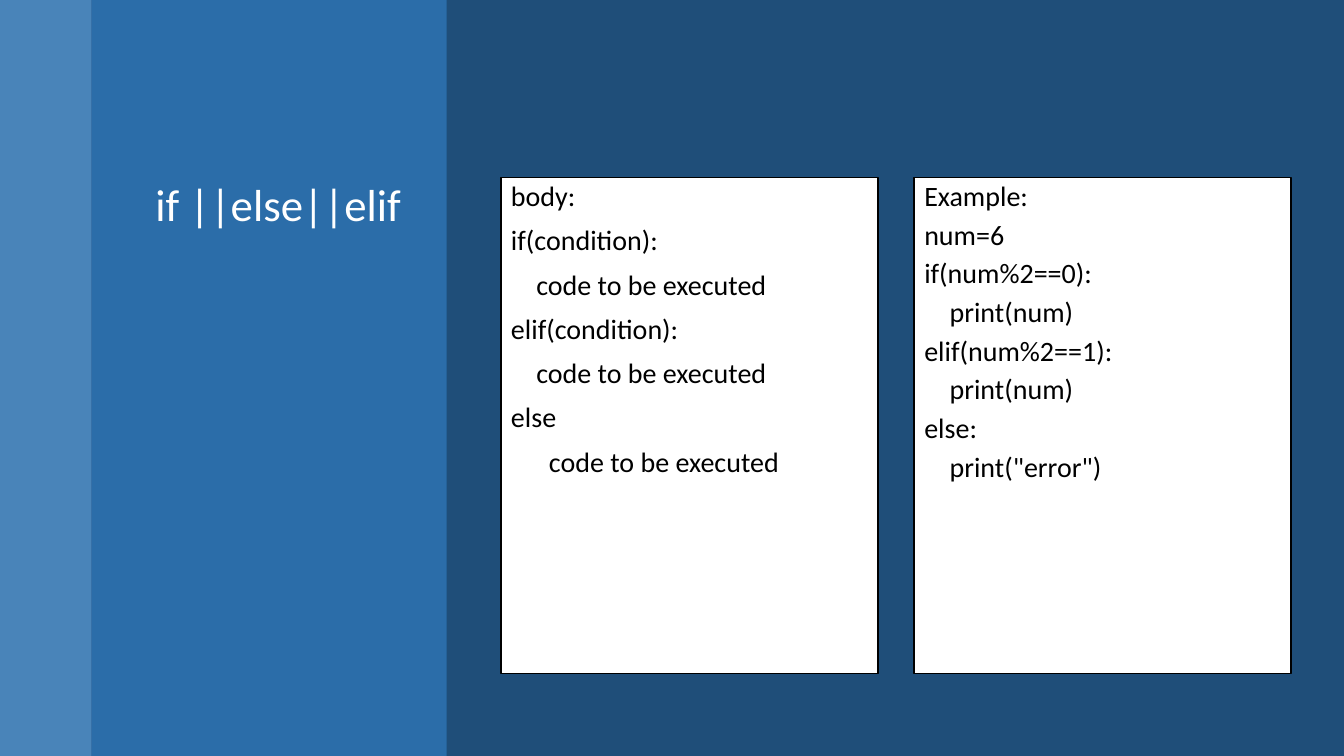
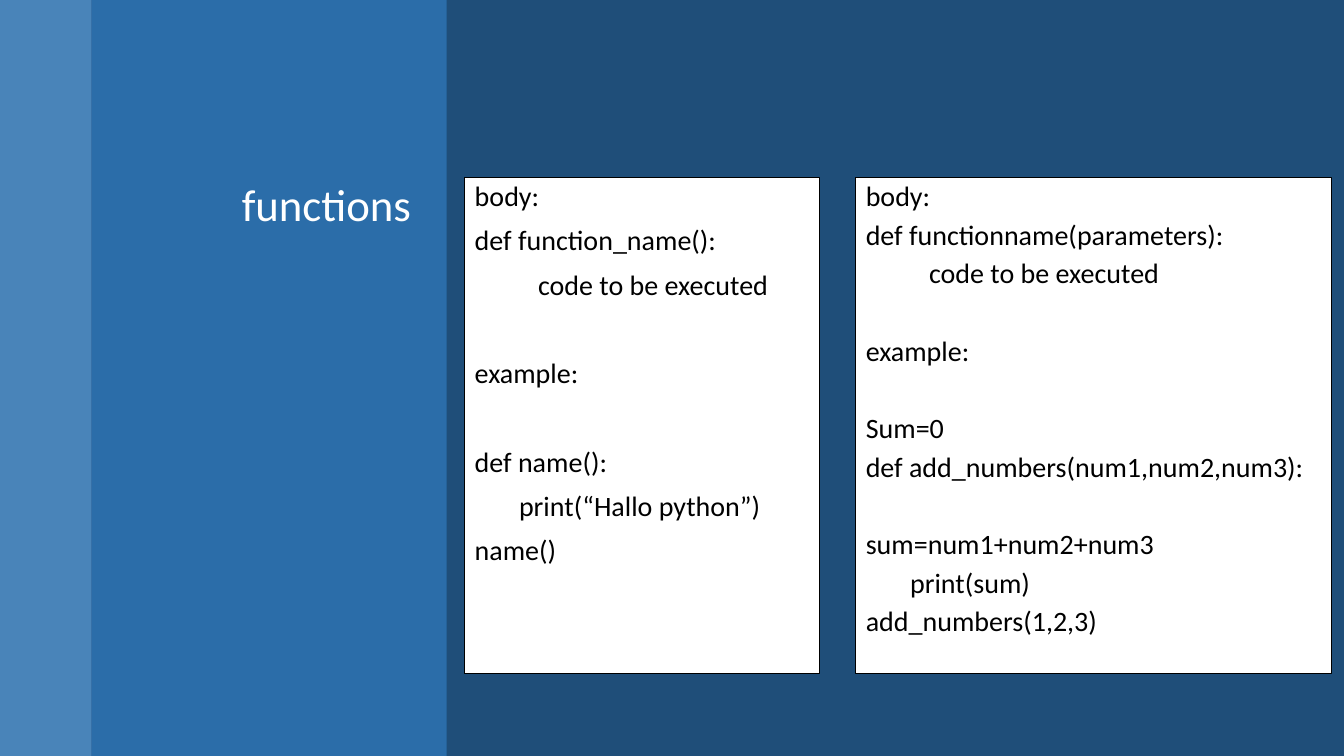
from dataclasses import dataclass

import lxml.etree
import pptx
import pptx.dml.color
import pptx.enum.shapes
import pptx.enum.text
import pptx.oxml.ns
import pptx.presentation
import pptx.shapes.base
import pptx.slide
import pptx.text.text
import pptx.util

Pt = pptx.util.Pt
Align = pptx.enum.text.PP_ALIGN

COLORS = {
    "background": "1F4E79",
    "edge_band": "5B9BD5",
    "title_band": "2E75B6",
    "title": "FFFFFF",
    "panel": "FFFFFF",
    "code": "000000",
    "border": "000000",
}
FONT = "Calibri"
SLIDE_WIDTH, SLIDE_HEIGHT = 960, 540
CONTENT_TOP, CONTENT_HEIGHT = 126.7, 354.2
TITLE_LEFT, TITLE_WIDTH, TITLE_SIZE = 78.5, 222.5, 32
PANEL_GAP = 25.9
CODE_SIZE = 20
LINE_SPACING = 0.9
LINE_HEIGHT = 21.6  # one line of code at this size and spacing
SPACE_WIDTH = 4.52  # one character of code indentation
TWO_CONTENT_LAYOUT = 3


@dataclass(frozen=True)
class Band:
    left: float
    width: float
    color: str
    opacity: int


@dataclass(frozen=True)
class CodeLine:
    text: str
    indent: int = 0
    blank_before: bool = False


@dataclass(frozen=True)
class Panel:
    width: float
    gap: float
    lines: list[CodeLine]


@dataclass(frozen=True)
class CodeSlide:
    title: str
    panels_left: float
    panels: list[Panel]
    title_inset: float = 7.2


BANDS = [
    Band(0, 65.5, "edge_band", 70),
    Band(65.5, 253.5, "title_band", 80),
]

SLIDES = [
    CodeSlide("if ||else||elif", 357.8, title_inset=14.4, panels=[
        Panel(269.3, 10, [
            CodeLine("body:"),
            CodeLine("if(condition):"),
            CodeLine("code to be executed", 4),
            CodeLine("elif(condition):"),
            CodeLine("code to be executed", 4),
            CodeLine("else"),
            CodeLine("code to be executed", 6),
        ]),
        Panel(269.3, 6, [
            CodeLine("Example:"),
            CodeLine("num=6"),
            CodeLine("if(num%2==0):"),
            CodeLine("print(num)", 4),
            CodeLine("elif(num%2==1):"),
            CodeLine("print(num)", 4),
            CodeLine("else:"),
            CodeLine('print("error")', 4),
        ]),
    ]),
    CodeSlide("functions", 331.9, panels=[
        Panel(253.4, 10, [
            CodeLine("body:"),
            CodeLine("def function_name():"),
            CodeLine("code to be executed", 10),
            CodeLine("example:", blank_before=True),
            CodeLine("def name():", blank_before=True),
            CodeLine("print(“Hallo python”)", 7),
            CodeLine("name()"),
        ]),
        Panel(339.8, 6, [
            CodeLine("body:"),
            CodeLine("def functionname(parameters):"),
            CodeLine("code to be executed", 10),
            CodeLine("example:", blank_before=True),
            CodeLine("Sum=0", blank_before=True),
            CodeLine("def add_numbers(num1,num2,num3):"),
            CodeLine("sum=num1+num2+num3", blank_before=True),
            CodeLine("print(sum)", 7),
            CodeLine("add_numbers(1,2,3)"),
        ]),
    ]),
]


def rgb(name: str) -> pptx.dml.color.RGBColor:
    return pptx.dml.color.RGBColor.from_string(COLORS[name])


def place(shape: pptx.shapes.base.BaseShape, left: float, width: float) -> None:
    """Move a placeholder into the content row and start its text at the top."""
    shape.left, shape.top = Pt(left), Pt(CONTENT_TOP)
    shape.width, shape.height = Pt(width), Pt(CONTENT_HEIGHT)
    frame = shape.text_frame
    frame.word_wrap = True
    frame.auto_size = pptx.enum.text.MSO_AUTO_SIZE.NONE
    frame.vertical_anchor = pptx.enum.text.MSO_ANCHOR.TOP


def write_text(paragraph: pptx.text.text._Paragraph, text: str, *, size: float,
               color: str, align: Align = Align.LEFT, space_before: float = 0,
               indent: float = 0) -> None:
    paragraph.alignment = align
    paragraph.line_spacing = LINE_SPACING
    paragraph.space_before = Pt(space_before)
    paragraph.space_after = Pt(0)
    properties = paragraph._p.get_or_add_pPr()
    properties.set("marL", str(Pt(indent)))
    properties.set("indent", "0")
    lxml.etree.SubElement(properties, pptx.oxml.ns.qn("a:buNone"))
    run = paragraph.add_run()
    run.text = text
    run.font.name = FONT
    run.font.size = Pt(size)
    run.font.color.rgb = rgb(color)


def add_bands(slide: pptx.slide.Slide) -> None:
    """Draw the translucent bands behind the placeholders."""
    for position, band in enumerate(BANDS, start=2):
        shape = slide.shapes.add_shape(
            pptx.enum.shapes.MSO_SHAPE.RECTANGLE,
            Pt(band.left), Pt(0), Pt(band.width), Pt(SLIDE_HEIGHT))
        shape.shadow.inherit = False
        shape.line.fill.background()
        shape.fill.solid()
        shape.fill.fore_color.rgb = rgb(band.color)
        color = shape.element.find(".//" + pptx.oxml.ns.qn("a:srgbClr"))
        lxml.etree.SubElement(color, pptx.oxml.ns.qn("a:alpha"),
                              val=str(band.opacity * 1000))
        shape.element.getparent().insert(position, shape.element)


def fill_panel(shape: pptx.shapes.base.BaseShape, panel: Panel, left: float) -> None:
    place(shape, left, panel.width)
    shape.fill.solid()
    shape.fill.fore_color.rgb = rgb("panel")
    shape.line.color.rgb = rgb("border")
    shape.line.width = Pt(1)
    frame = shape.text_frame
    for index, line in enumerate(panel.lines):
        paragraph = frame.add_paragraph() if index else frame.paragraphs[0]
        space_before = panel.gap if index else 0
        if line.blank_before:
            space_before += LINE_HEIGHT + panel.gap
        write_text(paragraph, line.text, size=CODE_SIZE, color="code",
                   space_before=space_before, indent=line.indent * SPACE_WIDTH)


def add_code_slide(presentation: pptx.presentation.Presentation,
                   content: CodeSlide) -> None:
    slide = presentation.slides.add_slide(
        presentation.slide_layouts[TWO_CONTENT_LAYOUT])
    add_bands(slide)
    title = slide.shapes.title
    place(title, TITLE_LEFT, TITLE_WIDTH)
    title.text_frame.margin_right = Pt(content.title_inset)
    write_text(title.text_frame.paragraphs[0], content.title, size=TITLE_SIZE,
               color="title", align=Align.RIGHT)
    left = content.panels_left
    for placeholder_index, panel in enumerate(content.panels, start=1):
        fill_panel(slide.placeholders[placeholder_index], panel, left)
        left += panel.width + PANEL_GAP


def main() -> None:
    presentation = pptx.Presentation()
    presentation.slide_width = Pt(SLIDE_WIDTH)
    presentation.slide_height = Pt(SLIDE_HEIGHT)
    background = presentation.slide_master.background.fill
    background.solid()
    background.fore_color.rgb = rgb("background")
    for content in SLIDES:
        add_code_slide(presentation, content)
    presentation.save("out.pptx")


if __name__ == "__main__":
    main()
